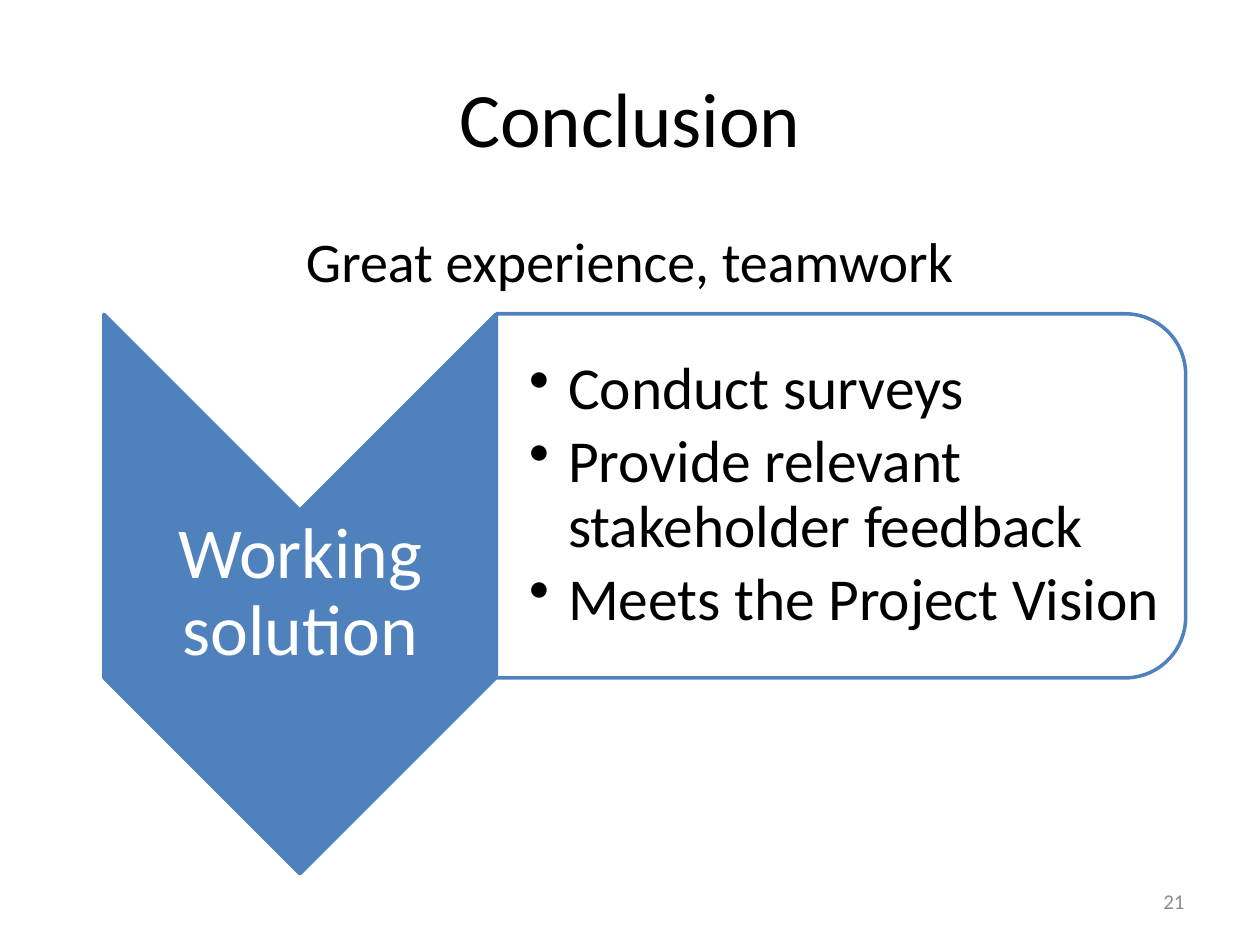
"""Build the conclusion slide with a chevron and a bulleted panel."""
from lxml.etree import SubElement
from pptx import Presentation
from pptx.dml.color import RGBColor
from pptx.enum.shapes import MSO_SHAPE
from pptx.enum.text import MSO_ANCHOR, PP_ALIGN
from pptx.oxml.ns import qn
from pptx.util import Inches, Pt

COLORS = {"black": "000000", "white": "FFFFFF", "blue": "4F81BD", "gray": "8C8C8C"}


def write_text(shape, lines, size, color, align, anchor=MSO_ANCHOR.MIDDLE, insets=(0.1, 0.05, 0.1, 0.05)):
    frame = shape.text_frame
    frame.word_wrap = True
    frame.vertical_anchor = anchor
    frame.margin_left, frame.margin_top, frame.margin_right, frame.margin_bottom = map(Inches, insets)
    frame.text = "\n".join(lines)
    for paragraph in frame.paragraphs:
        paragraph.alignment = align
        paragraph.font.name = "Calibri"
        paragraph.font.size = Pt(size)
        paragraph.font.color.rgb = RGBColor.from_string(COLORS[color])
    return frame.paragraphs


def add_rotated_shape(kind, left, top, width, height, fill):
    shape = slide.shapes.add_shape(kind, Inches(left), Inches(top), Inches(width), Inches(height))
    shape.rotation = 90
    shape.shadow.inherit = False
    shape.fill.solid()
    shape.fill.fore_color.rgb = RGBColor.from_string(COLORS[fill])
    shape.line.color.rgb = RGBColor.from_string(COLORS["blue"])
    shape.line.width = Pt(2)
    return shape


presentation = Presentation()
presentation.slide_width = Inches(10)
presentation.slide_height = Inches(7.5)
slide = presentation.slides.add_slide(presentation.slide_layouts[5])

title = slide.shapes.title
title.left, title.top, title.width, title.height = map(Inches, (0.5, 0.3, 9, 1.25))
write_text(title, ["Conclusion"], 44, "black", PP_ALIGN.CENTER)

subtitle = slide.shapes.add_textbox(Inches(0.5), Inches(1.75), Inches(9), Inches(0.7))
write_text(subtitle, ["Great experience, teamwork"], 32, "black", PP_ALIGN.CENTER, MSO_ANCHOR.TOP)

add_rotated_shape(MSO_SHAPE.CHEVRON, 0.16, 3.16, 4.44, 3.11, "blue")
chevron_label = slide.shapes.add_textbox(Inches(0.83), Inches(4.05), Inches(3.11), Inches(1.33))
label_paragraphs = write_text(
    chevron_label, ["Working solution"], 41, "white", PP_ALIGN.CENTER, insets=(0.03, 0.03, 0.03, 0.03)
)
label_paragraphs[0].line_spacing = 0.9

panel = add_rotated_shape(MSO_SHAPE.ROUND_2_SAME_RECTANGLE, 5.23, 1.2, 2.89, 5.47, "white")
panel_color = panel.fill._xPr.find(qn("a:solidFill"))[0]
SubElement(panel_color, qn("a:alpha"), val="90000")

panel_text = slide.shapes.add_textbox(Inches(3.94), Inches(2.63), Inches(5.33), Inches(2.61))
bullets = ["Conduct surveys", "Provide relevant stakeholder feedback", "Meets the Project Vision"]
for paragraph in write_text(panel_text, bullets, 34, "black", PP_ALIGN.LEFT, insets=(0.26, 0.02, 0.02, 0.02)):
    paragraph.line_spacing = 0.9
    paragraph.space_after = Pt(5)
    properties = paragraph._p.get_or_add_pPr()
    properties.set("marL", str(Inches(0.31)))
    properties.set("indent", str(-Inches(0.31)))
    bullet = properties.makeelement(qn("a:buChar"), {"char": "•"})
    properties.find(qn("a:defRPr")).addprevious(bullet)

slide_number = slide.shapes.add_textbox(Inches(7.17), Inches(6.95), Inches(2.33), Inches(0.4))
write_text(slide_number, ["21"], 12, "gray", PP_ALIGN.RIGHT)

presentation.save("out.pptx")
